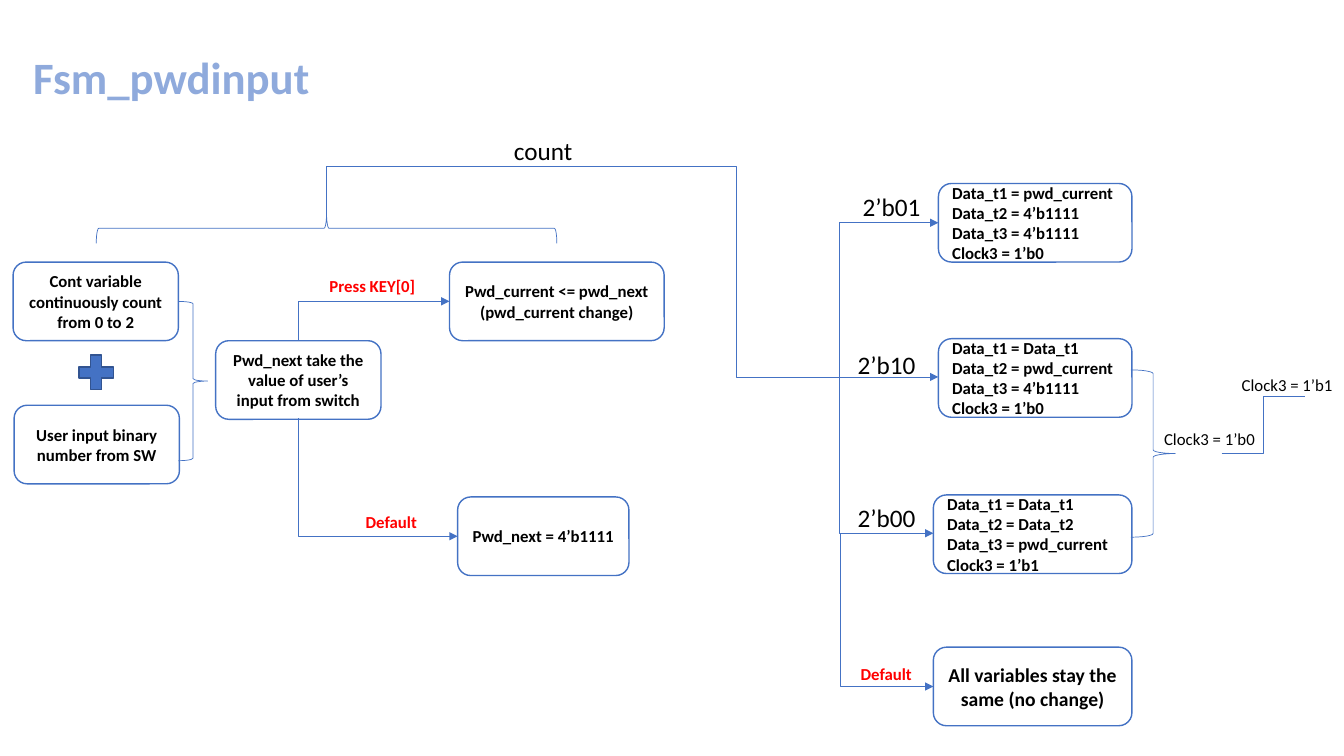
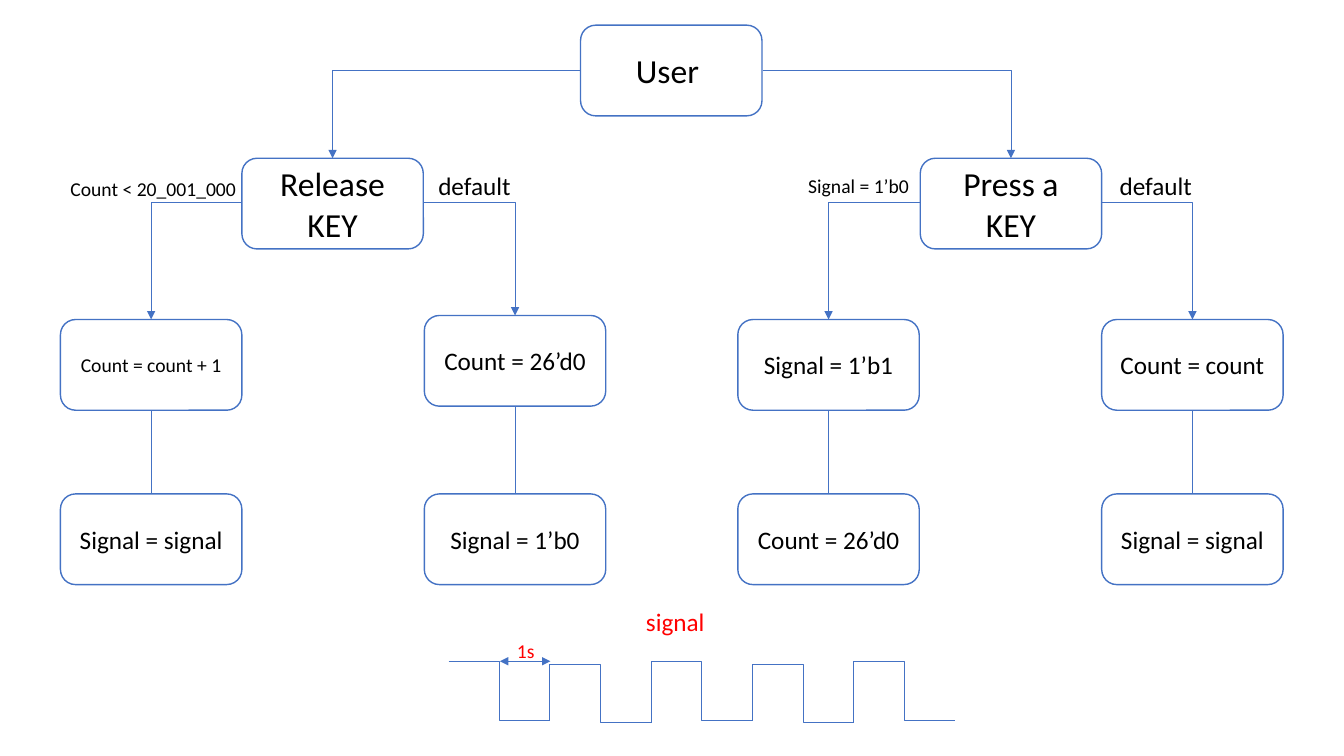
"""Build two flow diagrams of a password input state machine."""
from lxml.etree import SubElement
from pptx import Presentation
from pptx.dml.color import RGBColor
from pptx.enum.shapes import MSO_CONNECTOR, MSO_SHAPE
from pptx.enum.text import MSO_ANCHOR, PP_ALIGN
from pptx.oxml.ns import qn
from pptx.util import Inches, Pt

HUES = {"ink": "000000", "paper": "FFFFFF", "line": "4472C4",
        "edge": "325491", "title": "8FAADC", "alert": "FF0000"}
FONT = "Calibri"
ROUND = MSO_SHAPE.ROUNDED_RECTANGLE
TOP, LEFT, BASE, RIGHT = range(4)


def put(page, form, spot, text="", size=12, hue="ink", bold=False,
        align=PP_ALIGN.LEFT, fill="paper", edge="line", thick=1, turn=0):
    spot = [Inches(n) for n in spot]
    if form is None:
        shape = page.shapes.add_textbox(*spot)
        shape.text_frame.margin_right = 0
    else:
        shape = page.shapes.add_shape(form, *spot)
        shape.shadow.inherit = False
        shape.rotation = turn
        if fill:
            shape.fill.solid()
            shape.fill.fore_color.rgb = RGBColor.from_string(HUES[fill])
        else:
            shape.fill.background()
        shape.line.color.rgb = RGBColor.from_string(HUES[edge])
        shape.line.width = Pt(thick)
        shape.text_frame.vertical_anchor = MSO_ANCHOR.MIDDLE
    if not text:
        return shape
    frame = shape.text_frame
    frame.word_wrap = True
    for i, words in enumerate(text.split("\n")):
        para = frame.add_paragraph() if i else frame.paragraphs[0]
        para.alignment = align
        run = para.add_run()
        run.text = words
        run.font.name = FONT
        run.font.size = Pt(size)
        run.font.bold = bold
        run.font.color.rgb = RGBColor.from_string(HUES[hue])
    return shape


def wire(page, start, end, bend=0, first=None, last=None, upright=False,
         shifts=(), head=False, tail=False):
    kind = MSO_CONNECTOR.ELBOW if bend else MSO_CONNECTOR.STRAIGHT
    link = page.shapes.add_connector(kind, *[Inches(n) for n in (*start, *end)])
    if first:
        link.begin_connect(*first)
    if last:
        link.end_connect(*last)
    props = link._element.spPr
    if upright:
        midx, midy = (start[0] + end[0]) / 2, (start[1] + end[1]) / 2
        halfx, halfy = (start[1] - end[1]) / 2, (end[0] - start[0]) / 2
        start, end = (midx - halfx, midy - halfy), (midx + halfx, midy + halfy)
        props.find(qn("a:xfrm")).set("rot", "16200000")
    link.begin_x, link.begin_y = [Inches(n) for n in start]
    link.end_x, link.end_y = [Inches(n) for n in end]
    if bend:
        shape = props.find(qn("a:prstGeom"))
        shape.set("prst", f"bentConnector{bend}")
        for i, shift in enumerate(shifts, 1):
            SubElement(shape.find(qn("a:avLst")), qn("a:gd"), name=f"adj{i}",
                       fmla=f"val {round(shift * 100000)}")
    link.line.color.rgb = RGBColor.from_string(HUES["line"])
    link.line.width = Pt(0.5)
    stroke = props.find(qn("a:ln"))
    for name, shown in (("a:headEnd", head), ("a:tailEnd", tail)):
        if shown:
            SubElement(stroke, qn(name), type="triangle")
    SubElement(props, qn("a:effectLst"))


deck = Presentation()
deck.slide_width, deck.slide_height = Inches(40 / 3), Inches(7.5)
blank = deck.slide_layouts[6]

page = deck.slides.add_slide(blank)
put(page, None, (0.23, 0.44, 12.8, 0.64), "Fsm_pwdinput", 32, "title", True)

box = {}
for key, left, top, wide, values in [
    ("00", 9.26, 4.91, 1.97, ("Data_t1", "Data_t2", "pwd_current", "1’b1")),
    ("10", 9.31, 3.36, 1.92, ("Data_t1", "pwd_current", "4’b1111", "1’b0")),
    ("01", 9.31, 1.82, 1.92, ("pwd_current", "4’b1111", "4’b1111", "1’b0")),
]:
    names = ("Data_t1", "Data_t2", "Data_t3", "Clock3")
    text = "\n".join(f"{name} = {value}" for name, value in zip(names, values))
    box[key] = put(page, ROUND, (left, top, wide, 0.78), text, bold=True)

for key, left, top, wide, text, size in [
    ("next", 2.14, 3.38, 1.64, "Pwd_next take the value of user’s input from switch", 12),
    ("cont", 0.13, 2.6, 1.64, "Cont variable continuously count from 0 to 2", 12),
    ("press", 4.46, 2.6, 2.13, "Pwd_current <= pwd_next\n(pwd_current change)", 12),
    ("reset", 4.54, 4.93, 1.7, "Pwd_next = 4’b1111", 12),
    ("input", 0.14, 4.02, 1.64, "User input binary number from SW", 12),
    ("same", 9.26, 6.42, 1.97, "All variables stay the same (no change)", 14),
]:
    box[key] = put(page, ROUND, (left, top, wide, 0.78), text, size, bold=True,
                   align=PP_ALIGN.CENTER)

put(page, MSO_SHAPE.MATH_PLUS, (0.72, 3.46, 0.47, 0.47), fill="line", edge="edge")
for key, form, spot, turn in [
    ("pair", MSO_SHAPE.LEFT_BRACE, (1.77, 2.99, 0.29, 1.58), 180),
    ("count", MSO_SHAPE.RIGHT_BRACE, (3.09, -0.02, 0.3, 4.57), 270),
    ("clock", MSO_SHAPE.RIGHT_BRACE, (11.22, 3.67, 0.44, 1.66), 0),
]:
    box[key] = put(page, form, spot, fill=None, thick=0.5, turn=turn)

for start, end, bend, first, last, shifts in [
    ((2.96, 4.15), (4.54, 5.32), 2, (box["next"], BASE), "reset", ()),
    ((2.96, 3.38), (4.46, 2.99), 2, (box["next"], TOP), "press", ()),
    ((3.24, 2.11), (9.31, 3.74), 4, (box["count"], 1), "10", (-0.28, 0.67)),
    ((8.34, 5.29), (9.26, 6.81), 2, None, "same", ()),
]:
    wire(page, start, end, bend, first, (box[last], LEFT), True, shifts, tail=True)
wire(page, (9.31, 2.21), (9.26, 5.29), 3, (box["01"], LEFT), (box["00"], LEFT),
     shifts=[19.6], head=True, tail=True)
wire(page, (12.12, 4.5), (12.95, 3.93), 3)

for left, top, wide, text in [
    (3.17, 2.69, 1.16, "Press KEY[0]"),
    (3.53, 5.03, 0.73, "Default"),
    (8.44, 6.54, 0.73, "Default"),
]:
    put(page, None, (left, top, wide, 0.3), text, 12, "alert", True)
for left, top, wide, text, size in [
    (5, 1.29, 1.24, "count", 18),
    (8.46, 1.85, 0.91, "2’b01", 18),
    (8.41, 3.42, 0.91, "2’b10", 18),
    (8.41, 4.93, 0.91, "2’b00", 18),
    (11.45, 4.2, 1.15, "Clock3 = 1’b0", 12),
    (12.22, 3.67, 1.11, "Clock3 = 1’b1", 12),
]:
    put(page, None, (left, top, wide, 0.02 * size), text, size)

page = deck.slides.add_slide(blank)
WIDE, TALL = 1.8, 0.9
user, press, free = [
    put(page, ROUND, (left, top, WIDE, TALL), text, 24, align=PP_ALIGN.CENTER)
    for left, top, text in [
        (5.76, 0.25, "User "), (9.13, 1.57, "Press a KEY"), (2.4, 1.57, "Release KEY")]
]
wire(page, (5.76, 0.7), (3.3, 1.57), 2, (user, LEFT), (free, TOP), tail=True)
wire(page, (7.57, 0.7), (10.03, 1.57), 2, (user, RIGHT), (press, TOP), tail=True)

for left, top, port, first, upper, size, lower in [
    (0.6, 3.17, 2.4, (free, LEFT), "Count = count + 1", 14, "Signal = signal"),
    (4.21, 3.13, 4.21, (free, RIGHT), "Count = 26’d0", 18, "Signal = 1’b0"),
    (7.32, 3.17, 9.13, (press, LEFT), "Signal = 1’b1", 18, "Count = 26’d0"),
    (10.93, 3.17, 10.93, (press, RIGHT), "Count = count", 18, "Signal = signal"),
]:
    mid = left + WIDE / 2
    step = put(page, ROUND, (left, top, WIDE, TALL), upper, size, align=PP_ALIGN.CENTER)
    last = put(page, ROUND, (left, 4.9, WIDE, TALL), lower, 18, align=PP_ALIGN.CENTER)
    wire(page, (port, 2.01), (mid, top), 2, first, (step, TOP), tail=True)
    wire(page, (mid, 4.9), (mid, top + TALL), 0, (last, TOP), (step, BASE))

for left, top, wide, text, size, hue in [
    (0.6, 1.71, 2.46, "Count < 20_001_000", 14, "ink"),
    (4.25, 1.64, 1.27, "default", 18, "ink"),
    (11.01, 1.64, 1.27, "default", 18, "ink"),
    (7.92, 1.68, 1.23, "Signal = 1’b0", 14, "ink"),
    (6.31, 5.97, 0.88, "signal", 18, "alert"),
    (5.03, 6.29, 0.49, "1s", 14, "alert"),
]:
    put(page, None, (left, top, wide, 0.02 * size), text, size, hue)

for i in range(5):
    left = 4.45 + i * 1.005
    high, low = (6.59, 7.17) if i % 2 else (6.56, 7.15)
    wire(page, (left, high), (left + 1.005, low), 3)
    if i:
        wire(page, (left, high), (left, 7.15 if i % 2 else 7.17))
wire(page, (4.96, 6.56), (5.46, 6.56), head=True, tail=True)

deck.save("out.pptx")
